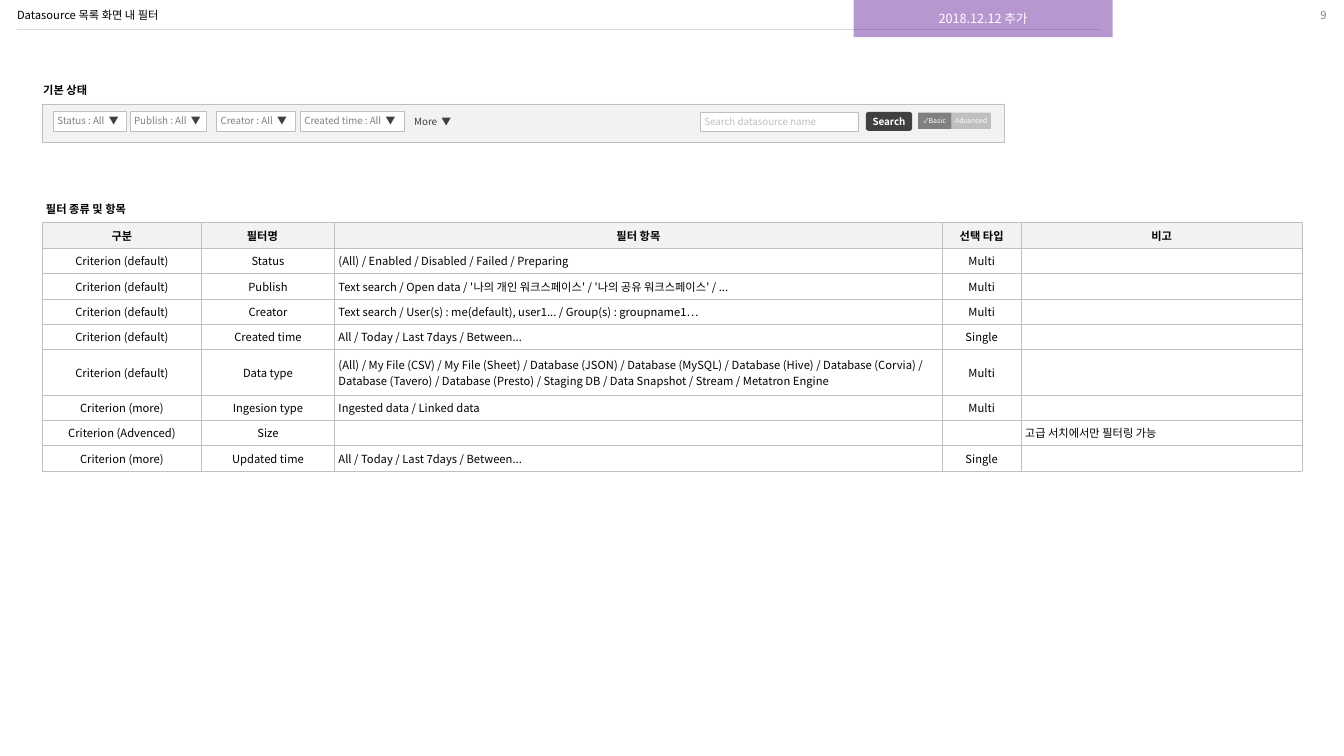
from lxml.etree import SubElement
from pptx import Presentation
from pptx.dml.color import RGBColor
from pptx.enum.shapes import MSO_CONNECTOR, MSO_SHAPE
from pptx.enum.text import MSO_ANCHOR, PP_ALIGN
from pptx.oxml.ns import qn
from pptx.util import Cm, Pt

FONT = "Noto Sans CJK KR"
BLACK, WHITE, DARK, GRAY = "000000", "FFFFFF", "404040", "808080"
BORDER, PANEL, RULE, PURPLE = "BFBFBF", "F2F2F2", "D9D9D9", "7030A0"
LEFT, CENTER, RIGHT = PP_ALIGN.LEFT, PP_ALIGN.CENTER, PP_ALIGN.RIGHT
TOP, MIDDLE = MSO_ANCHOR.TOP, MSO_ANCHOR.MIDDLE
RECT, ROUND = MSO_SHAPE.RECTANGLE, MSO_SHAPE.ROUNDED_RECTANGLE
HAIRLINE = Pt(0.25)
NO_INSETS, TEXT_INSETS = (0, 0, 0, 0), (0.25, 0.13, 0.25, 0.13)
FIELD_INSETS, BUTTON_INSETS = (0.1, 0.1, 0.1, 0.1), (0, 0.1, 0, 0.1)
HEADER_INSETS, BODY_INSETS = (0.03, 0.03, 0.03, 0), (0.1, 0, 0.1, 0)

TITLE = "Datasource 목록 화면 내 필터"
PAGE_NUMBER = "9"
STAMP = "2018.12.12 추가"
HEADINGS = [("기본 상태", (0.84, 1.96, 1.75, 0.61)),
            ("필터 종류 및 항목", (0.91, 4.98, 2.82, 0.61))]
FILTERS = [("Status : All  ", 1.35, 1.83), ("Publish : All  ", 3.28, 1.93),
           ("Creator : All  ", 5.46, 1.98), ("Created time : All  ", 7.57, 2.62)]
TOGGLES = [("✓Basic", 0.84, GRAY), ("Advanced", 0.99, BORDER)]
COLUMNS = [("구분", 4.01, CENTER), ("필터명　", 3.35, CENTER), ("필터 항목", 15.32, LEFT),
           ("선택 타입", 1.98, CENTER), ("비고", 7.09, LEFT)]
DEFAULT, MORE = "Criterion (default)", "Criterion (more)"
PERIODS = "All / Today / Last 7days / Between..."
DATA_TYPES = ("(All) / My File (CSV) / My File (Sheet) / Database (JSON) / Database (MySQL) / "
              "Database (Hive) / Database (Corvia) / Database (Tavero) / Database (Presto) / "
              "Staging DB / Data Snapshot / Stream / Metatron Engine")
ROWS = [
    (DEFAULT, "Status", "(All) / Enabled / Disabled / Failed / Preparing", "Multi", ""),
    (DEFAULT, "Publish",
     "Text search / Open data / '나의 개인 워크스페이스' / '나의 공유 워크스페이스' / ...", "Multi", ""),
    (DEFAULT, "Creator",
     "Text search / User(s) : me(default), user1... / Group(s) : groupname1…", "Multi", ""),
    (DEFAULT, "Created time", PERIODS, "Single", ""),
    (DEFAULT, "Data type", DATA_TYPES, "Multi", ""),
    (MORE, "Ingesion type", "Ingested data / Linked data", "Multi", ""),
    ("Criterion (Advenced)", "Size", "", "", "고급 서치에서만 필터링 가능"),
    (MORE, "Updated time", PERIODS, "Single", ""),
]
ROW_HEIGHT, TALL_ROW_HEIGHT = 0.64, 1.14


def color(value):
    return RGBColor.from_string(value)


def write(paragraph, parts, size, bold=False, align=LEFT):
    paragraph.alignment = align
    for text, text_color in parts:
        run = paragraph.add_run()
        run.text = text
        run.font.size = Pt(size)
        run.font.bold = bold
        run.font.color.rgb = color(text_color)
        run.font.name = FONT
        SubElement(run.font._element, qn("a:ea"), typeface=FONT)


def set_insets(target, insets):
    target.margin_left, target.margin_top, target.margin_right, target.margin_bottom = map(Cm, insets)


def fill_frame(shape, parts, size, insets, anchor=MIDDLE, wrap=True, **style):
    frame = shape.text_frame
    set_insets(frame, insets)
    frame.vertical_anchor = anchor
    frame.word_wrap = wrap
    write(frame.paragraphs[0], parts, size, **style)
    return shape


def add_text(box, text, text_color, size, insets, **style):
    shape = slide.shapes.add_textbox(*map(Cm, box))
    return fill_frame(shape, [(text, text_color)], size, insets, **style)


def add_box(box, fill, outline=None, kind=RECT, corner=None, parent=None):
    shape = (parent or slide).shapes.add_shape(kind, *map(Cm, box))
    shape.shadow.inherit = False
    shape.fill.solid()
    shape.fill.fore_color.rgb = color(fill)
    if outline:
        shape.line.color.rgb = color(outline)
        shape.line.width = HAIRLINE
    else:
        shape.line.fill.background()
    if corner is not None:
        shape.adjustments[0] = corner
    return shape


def style_cell(cell, text, insets, bold, align, fill):
    set_insets(cell, insets)
    cell.vertical_anchor = MIDDLE
    properties = cell._tc.get_or_add_tcPr()
    for side in ("a:lnL", "a:lnR", "a:lnT", "a:lnB"):
        border = SubElement(properties, qn(side), w=str(HAIRLINE))
        SubElement(SubElement(border, qn("a:solidFill")), qn("a:srgbClr"), val=BORDER)
    if fill:
        cell.fill.solid()
        cell.fill.fore_color.rgb = color(fill)
    else:
        cell.fill.background()
    paragraph = cell.text_frame.paragraphs[0]
    if text:
        write(paragraph, [(text, BLACK)], 8, bold, align)
    else:
        SubElement(paragraph._p, qn("a:endParaRPr"), sz="800")


def add_header():
    rule = slide.shapes.add_connector(MSO_CONNECTOR.STRAIGHT, Cm(0.43), Cm(0.74), Cm(27.74), Cm(0.74))
    rule.line.color.rgb = color(RULE)
    rule.line.width = HAIRLINE
    SubElement(rule._element.spPr, qn("a:effectLst"))
    title = add_text((0.43, 0.08, 27.3, 0.64), TITLE, BLACK, 8, NO_INSETS)
    title.text_frame.paragraphs[0].line_spacing = 0.9
    add_text((32.21, 0, 1.22, 0.74), PAGE_NUMBER, GRAY, 8, NO_INSETS, align=RIGHT)
    stamp = add_box((21.51, 0, 6.53, 0.94), PURPLE)
    SubElement(stamp._element.spPr.find(".//" + qn("a:srgbClr")), qn("a:alpha"), val="50000")
    fill_frame(stamp, [(STAMP, WHITE)], 9, TEXT_INSETS, align=CENTER)


def add_filter_bar():
    add_box((1.07, 2.62, 24.23, 0.97), PANEL, BORDER)
    for label, left, width in FILTERS:
        dropdown = add_box((left, 2.79, width, 0.51), WHITE, BORDER)
        fill_frame(dropdown, [(label, GRAY), ("▼", DARK)], 7, FIELD_INSETS, wrap=False)
    add_text((10.19, 2.82, 1.55, 0.48), "More  ▼", DARK, 7, TEXT_INSETS)
    field = add_box((17.65, 2.82, 3.99, 0.48), WHITE, BORDER)
    fill_frame(field, [("Search datasource name", BORDER)], 7, FIELD_INSETS)
    button = add_box((21.82, 2.82, 1.17, 0.48), DARK, kind=ROUND, corner=0.16)
    fill_frame(button, [("Search", WHITE)], 7, BUTTON_INSETS, bold=True, align=CENTER)
    toggle_group = slide.shapes.add_group_shape()
    left = 23.14
    for label, width, fill in TOGGLES:
        toggle = add_box((left, 2.84, width, 0.41), fill, kind=ROUND, corner=0, parent=toggle_group)
        fill_frame(toggle, [(label, WHITE)], 5, BUTTON_INSETS, align=CENTER)
        left += width


def add_filter_table():
    heights = [ROW_HEIGHT] + [TALL_ROW_HEIGHT if row[2] == DATA_TYPES else ROW_HEIGHT for row in ROWS]
    widths = [width for _, width, _ in COLUMNS]
    table = slide.shapes.add_table(len(heights), len(widths), Cm(1.07), Cm(5.61),
                                   Cm(sum(widths)), Cm(sum(heights))).table
    table.first_row = table.horz_banding = False
    for row, height in zip(table.rows, heights):
        row.height = Cm(height)
    for index, (name, width, align) in enumerate(COLUMNS):
        table.columns[index].width = Cm(width)
        style_cell(table.cell(0, index), name, HEADER_INSETS, True, CENTER, PANEL)
        for number, values in enumerate(ROWS, 1):
            style_cell(table.cell(number, index), values[index], BODY_INSETS, False, align, None)


presentation = Presentation()
presentation.slide_width, presentation.slide_height = Cm(33.87), Cm(19.05)
slide = presentation.slides.add_slide(presentation.slide_layouts[6])
add_header()
for heading, place in HEADINGS:
    add_text(place, heading, BLACK, 8, TEXT_INSETS, anchor=TOP, wrap=False, bold=True)
add_filter_bar()
add_filter_table()
presentation.save("out.pptx")
